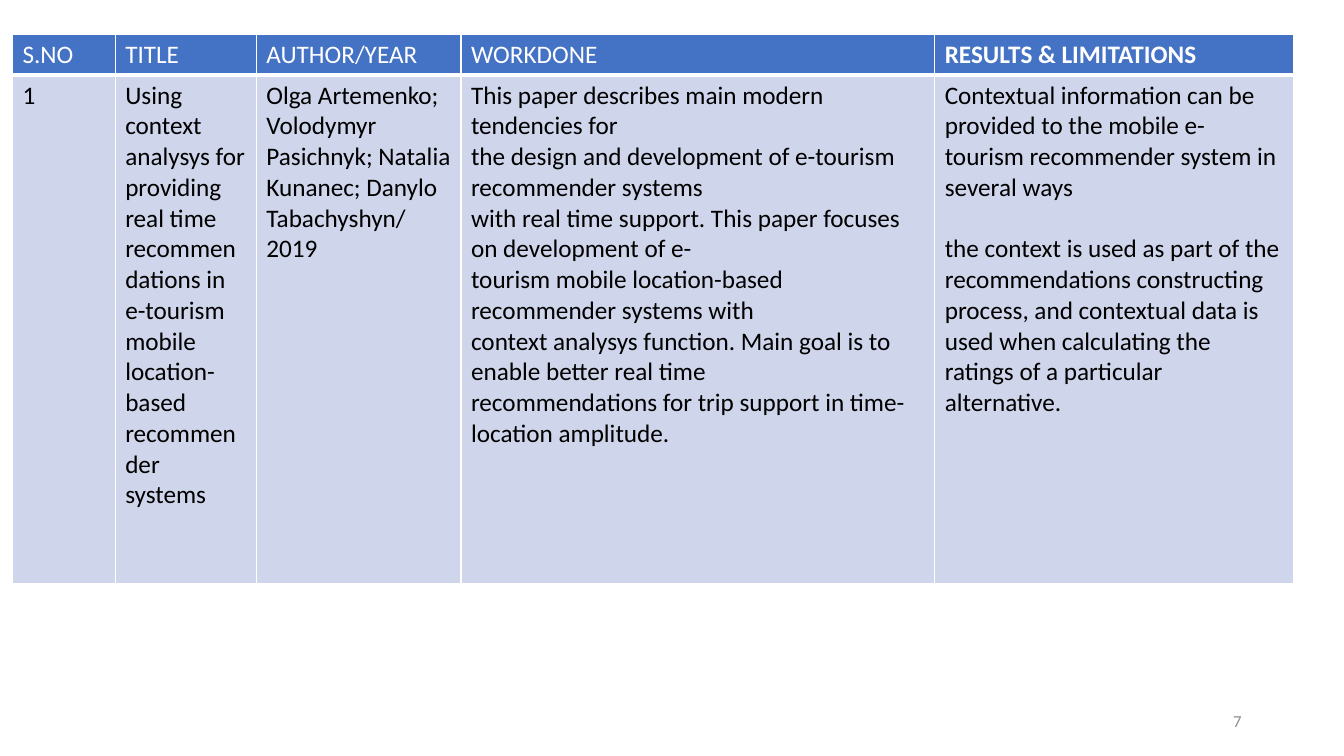
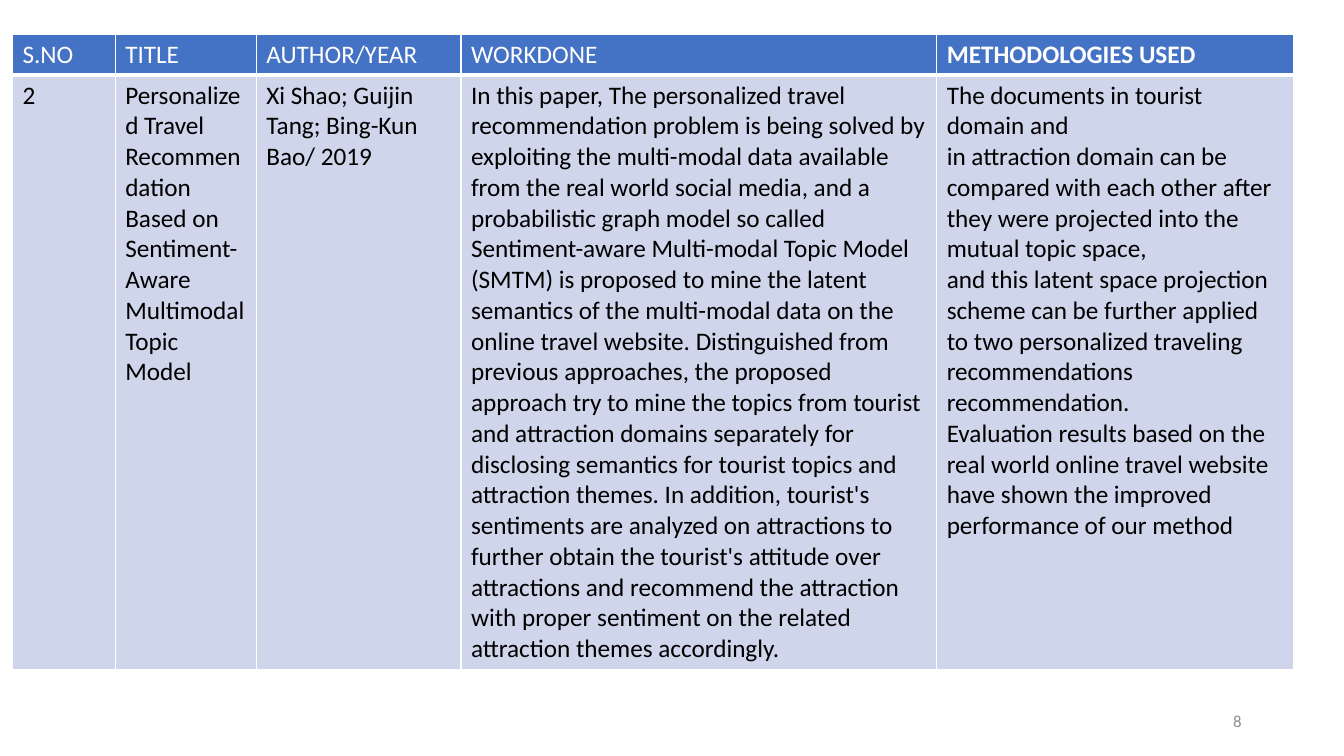
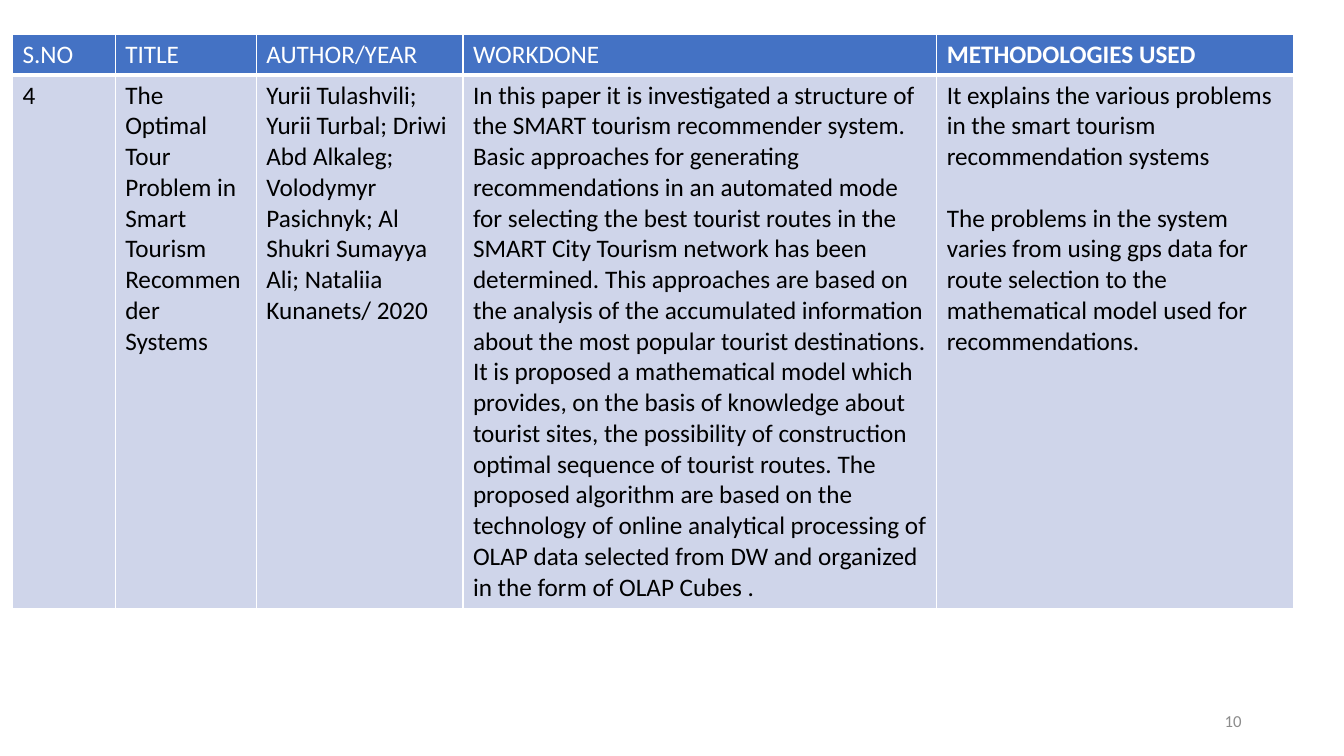
"""Build three literature-survey slides, each with one table."""
from lxml import etree
from pptx import Presentation
from pptx import util as u
from pptx.dml.color import RGBColor
from pptx.enum import text
from pptx.oxml.ns import qn

COLOURS = {
    "header": "4472C4",
    "body": "CFD5EA",
    "light": "FFFFFF",
    "dark": "000000",
    "number": "8C8C8C",
}
FONT = "Calibri"
LINE_HEIGHT = 22
TABLE_LEFT, TABLE_TOP, TABLE_WIDTH = 8.9, 24.8, 915.1
HEADER_HEIGHT = 28.6
NUMBER_WIDTH, TITLE_WIDTH = 73.4, 100.8
SHARED_HEADINGS = ["S.NO", "TITLE", "AUTHOR/YEAR", "WORKDONE"]

SURVEYS = [
    {
        "page": "7",
        "last_heading": "RESULTS & LIMITATIONS",
        "author_width": 146.2,
        "work_width": 338.4,
        "body_height": 363,
        "gap": LINE_HEIGHT,
        "cells": [
            ["1"],
            ["Using context analysys for providing real time\n"
             "recommendations in e-tourism mobile location-based\n"
             "recommender systems"],
            ["Olga Artemenko; Volodymyr Pasichnyk; Natalia Kunanec; "
             "Danylo Tabachyshyn/ 2019"],
            ["This paper describes main modern tendencies for\n"
             "the design and development of e-tourism recommender systems\n"
             "with real time support. This paper focuses on development of e-\n"
             "tourism mobile location-based recommender systems with\n"
             "context analysys function. Main goal is to enable better real time\n"
             "recommendations for trip support in time-location amplitude."],
            ["Contextual information can be provided to the mobile e-\n"
             "tourism recommender system in several ways",
             "the context is used as part of the\n"
             "recommendations constructing process, and contextual data is\n"
             "used when calculating the ratings of a particular alternative."],
        ],
    },
    {
        "page": "8",
        "last_heading": "METHODOLOGIES USED",
        "author_width": 146.2,
        "work_width": 339.8,
        "body_height": 425,
        "gap": 0,
        "cells": [
            ["2"],
            ["Personalized Travel Recommendation Based on Sentiment-Aware "
             "Multimodal Topic Model"],
            ["Xi Shao; Guijin Tang; Bing-Kun Bao/ 2019"],
            ["In this paper, The personalized travel recommendation problem is "
             "being solved by exploiting the multi-modal data available from the "
             "real world social media, and a probabilistic graph model so called "
             "Sentiment-aware Multi-modal Topic Model (SMTM) is proposed to mine "
             "the latent semantics of the multi-modal data on the online travel "
             "website. Distinguished from previous approaches, the proposed "
             "approach try to mine the topics from tourist and attraction domains "
             "separately for disclosing semantics for tourist topics and "
             "attraction themes. In addition, tourist's sentiments are analyzed "
             "on attractions to further obtain the tourist's attitude over "
             "attractions and recommend the attraction with proper sentiment on "
             "the related attraction themes accordingly."],
            ["The documents in tourist domain and\n"
             "in attraction domain can be compared with each other after they "
             "were projected into the mutual topic space,\n"
             "and this latent space projection scheme can be further applied to "
             "two personalized traveling\n"
             "recommendations recommendation.",
             "Evaluation results based on the real world online travel website "
             "have shown the improved\n"
             "performance of our method"],
        ],
    },
    {
        "page": "10",
        "last_heading": "METHODOLOGIES USED",
        "author_width": 147.6,
        "work_width": 338.4,
        "body_height": 381,
        "gap": LINE_HEIGHT,
        "cells": [
            ["4"],
            ["The Optimal Tour Problem in Smart Tourism Recommender Systems"],
            ["Yurii Tulashvili; Yurii Turbal; Driwi Abd Alkaleg; Volodymyr "
             "Pasichnyk; Al Shukri Sumayya Ali; Nataliia Kunanets/ 2020"],
            ["In this paper it is investigated a structure of the SMART tourism "
             "recommender system. Basic approaches for generating "
             "recommendations in an automated mode for selecting the best "
             "tourist routes in the SMART City Tourism network has been "
             "determined. This approaches are based on the analysis of the "
             "accumulated information about the most popular tourist "
             "destinations. It is proposed a mathematical model which provides, "
             "on the basis of knowledge about tourist sites, the possibility of "
             "construction optimal sequence of tourist routes. The proposed "
             "algorithm are based on the technology of online analytical "
             "processing of OLAP data selected from DW and organized in the form "
             "of OLAP Cubes ."],
            ["It explains the various problems in the smart tourism "
             "recommendation systems",
             "The problems in the system varies from using gps data for route "
             "selection to the mathematical model used for recommendations."],
        ],
    },
]


def colour(name):
    """Return the named colour."""
    return RGBColor.from_string(COLOURS[name])


def format_runs(paragraph, size, colour_name, bold=False):
    """Give every run of a paragraph the same font."""
    for run in paragraph.runs:
        run.font.name = FONT
        run.font.size = u.Pt(size)
        run.font.bold = bold
        run.font.color.rgb = colour(colour_name)


def set_borders(cell, bottom):
    """Draw white borders round a cell, with its own bottom width."""
    properties = cell._tc.get_or_add_tcPr()
    for side, width in (("L", 1), ("R", 1), ("T", 1), ("B", bottom)):
        line = etree.SubElement(properties, qn(f"a:ln{side}"), w=str(u.Pt(width)))
        fill = etree.SubElement(line, qn("a:solidFill"))
        etree.SubElement(fill, qn("a:srgbClr"), val=COLOURS["light"])


def fill_cell(cell, paragraphs, fill, font_colour, bold=False, gap=0, bottom=1):
    """Write paragraphs into a cell and format it."""
    set_borders(cell, bottom)
    cell.fill.solid()
    cell.fill.fore_color.rgb = colour(fill)
    frame = cell.text_frame
    for index, wording in enumerate(paragraphs):
        paragraph = frame.add_paragraph() if index else frame.paragraphs[0]
        paragraph.text = wording
        if index:
            paragraph.space_before = u.Pt(gap)
        format_runs(paragraph, 18, font_colour, bold)


def add_survey_table(slide, survey):
    """Add the table that describes one paper."""
    widths = [NUMBER_WIDTH, TITLE_WIDTH, survey["author_width"], survey["work_width"]]
    widths.append(TABLE_WIDTH - sum(widths))
    heights = [HEADER_HEIGHT, survey["body_height"]]
    table = slide.shapes.add_table(
        len(heights), len(widths), u.Pt(TABLE_LEFT), u.Pt(TABLE_TOP),
        u.Pt(TABLE_WIDTH), u.Pt(sum(heights))).table
    table.horz_banding = False
    for row, height in zip(table.rows, heights):
        row.height = u.Pt(height)
    headings = SHARED_HEADINGS + [survey["last_heading"]]
    for index, width in enumerate(widths):
        table.columns[index].width = u.Pt(width)
        fill_cell(table.cell(0, index), [headings[index]], "header", "light",
                  bold=index == len(SHARED_HEADINGS), bottom=3)
        fill_cell(table.cell(1, index), survey["cells"][index], "body", "dark",
                  gap=survey["gap"])


def add_page_number(slide, number):
    """Add the page number at the bottom right."""
    box = slide.shapes.add_textbox(u.Pt(678), u.Pt(500.5), u.Pt(216), u.Pt(28.75))
    frame = box.text_frame
    frame.word_wrap = True
    frame.vertical_anchor = text.MSO_ANCHOR.MIDDLE
    frame.text = number
    paragraph = frame.paragraphs[0]
    paragraph.alignment = text.PP_ALIGN.RIGHT
    format_runs(paragraph, 12, "number")


def main():
    """Build and save the presentation."""
    presentation = Presentation()
    presentation.slide_width, presentation.slide_height = u.Pt(960), u.Pt(540)
    blank_layout = presentation.slide_layouts.get_by_name("Blank")
    for survey in SURVEYS:
        slide = presentation.slides.add_slide(blank_layout)
        add_page_number(slide, survey["page"])
        add_survey_table(slide, survey)
    presentation.save("out.pptx")


main()
